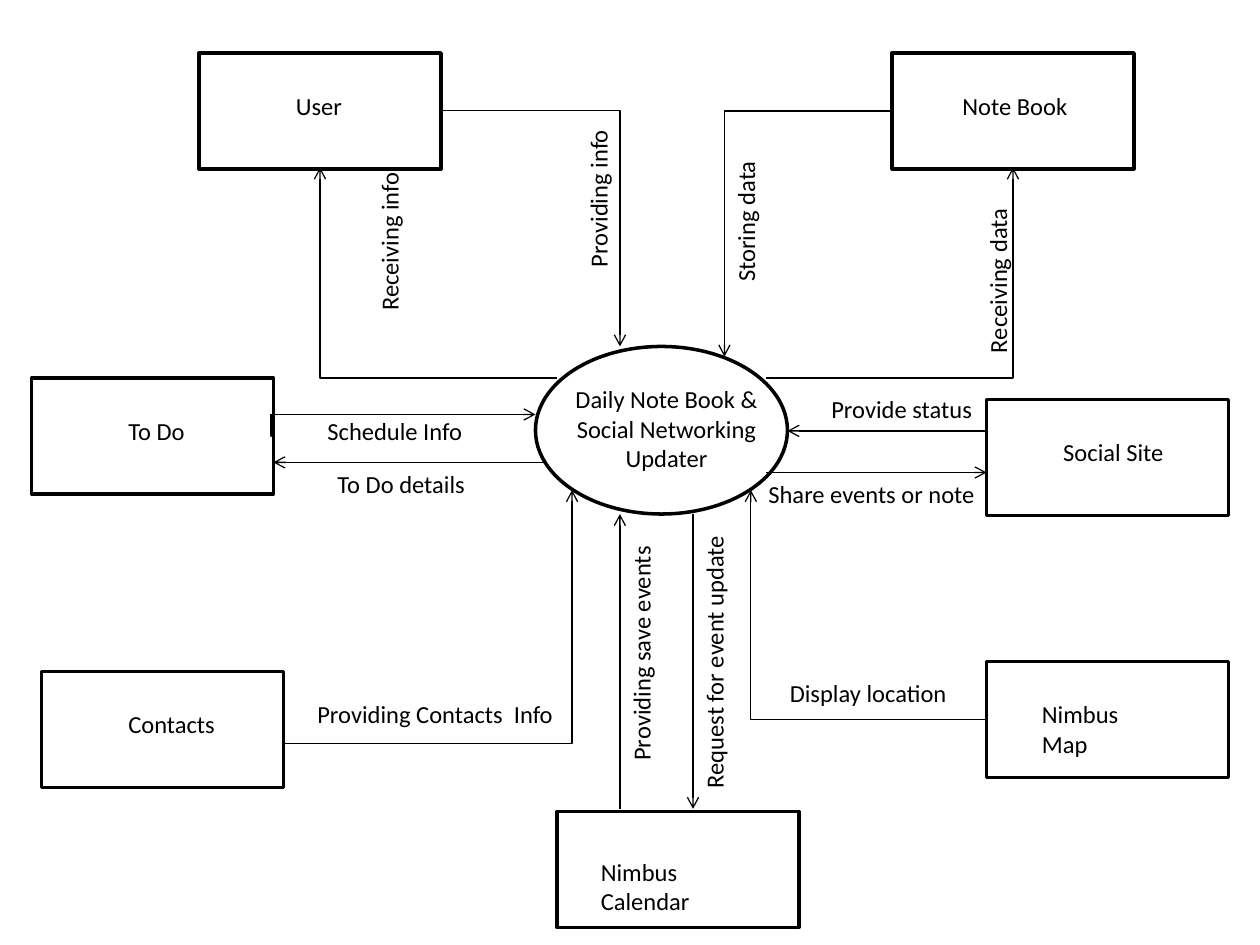
from lxml.etree import SubElement
from pptx import Presentation
from pptx.dml.color import RGBColor
from pptx.enum.shapes import MSO_CONNECTOR, MSO_SHAPE
from pptx.enum.text import MSO_AUTO_SIZE, PP_ALIGN
from pptx.oxml.ns import qn
from pptx.util import Inches, Pt

BLACK = "000000"
BOX_WIDTH, BOX_HEIGHT = 1.92, 0.92
LABEL_HEIGHT = 0.34

# Name, box left and top, label left, top and width
ENTITIES = [
    ("User", 1.58, 0.42, 2.25, 0.67, 0.57),
    ("Note Book", 7.08, 0.42, 7.54, 0.67, 1.03),
    ("To Do", 0.25, 3, 0.92, 3.25, 0.65),
    ("Social Site", 7.83, 3.17, 8.34, 3.42, 1),
    ("Contacts", 0.33, 5.33, 0.92, 5.58, 0.9),
    ("Nimbus Map", 7.83, 5.25, 8.17, 5.5, 1.18),
    ("Nimbus Calendar", 4.42, 6.44, 4.67, 6.75, 1.53),
]

# Start x and y, end x and y
STRAIGHT_FLOWS = [
    (5.5, 4.08, 5.5, 6.42),
    (4.92, 6.42, 4.92, 4.08),
    (4.33, 3.67, 2.17, 3.67),
    (7.83, 3.42, 6.25, 3.42),
    (6.08, 3.75, 7.83, 3.75),
]
CORNER_FLOWS = [
    (7.08, 0.88, 5.75, 2.83),
    (6.08, 3, 8.04, 1.33),
    (3.5, 0.88, 4.92, 2.75),
    (4.42, 3, 2.54, 1.33),
    (7.83, 5.71, 5.96, 3.89),
    (2.25, 5.9, 4.54, 3.89),
]
SCHEDULE_FLOW = (2.17, 3.46, 4.25, 3.29)

# Text, left, top, width
FLOW_LABELS = [
    ("Schedule Info", 2.5, 3.25, 1.28),
    ("To Do details", 2.58, 3.67, 1.22),
    ("Providing Contacts  Info", 2.42, 5.5, 2.09),
    ("Display location", 6.17, 5.33, 1.46),
    ("Share events or note", 6, 3.75, 1.86),
    ("Provide status", 6.5, 3.08, 1.33),
]
# Text, centre x, centre y, length
UPRIGHT_LABELS = [
    ("Request for event update", 5.67, 5.24, 2.23),
    ("Providing save events", 5.09, 5.17, 1.93),
    ("Providing info", 4.75, 1.57, 1.3),
    ("Receiving info", 3.09, 1.91, 1.31),
    ("Receiving data", 7.92, 2.22, 1.36),
    ("Storing data", 5.92, 1.75, 1.17),
]


def color(value):
    """Turn a hex string into a colour."""
    return RGBColor.from_string(value)


def add_outline(shapes, kind, left, top, width, height):
    """Add an unfilled shape with a heavy black outline."""
    shape = shapes.add_shape(kind, *map(Inches, (left, top, width, height)))
    shape.shadow.inherit = False
    shape.fill.background()
    shape.line.color.rgb = color(BLACK)
    shape.line.width = Pt(2)


def add_label(shapes, text, left, top, width, height=LABEL_HEIGHT, wrap=False):
    """Add a text box and return it."""
    label = shapes.add_textbox(*map(Inches, (left, top, width, height)))
    frame = label.text_frame
    frame.word_wrap = wrap
    frame.auto_size = MSO_AUTO_SIZE.SHAPE_TO_FIT_TEXT
    paragraph = frame.paragraphs[0]
    paragraph.text = text
    paragraph.font.name = "Calibri"
    paragraph.font.size = Pt(14)
    paragraph.font.color.rgb = color(BLACK)
    return label


def add_flow(shapes, ends, kind=MSO_CONNECTOR.STRAIGHT):
    """Add a thin connector with an open arrowhead and return it."""
    flow = shapes.add_connector(kind, *map(Inches, ends))
    flow.line.color.rgb = color(BLACK)
    flow.line.width = Pt(0.75)
    SubElement(flow.line._get_or_add_ln(), qn("a:tailEnd"), type="arrow")
    SubElement(flow._element.spPr, qn("a:effectLst"))
    return flow


presentation = Presentation()
presentation.slide_width = Inches(10)
presentation.slide_height = Inches(7.5)
slide = presentation.slides.add_slide(presentation.slide_layouts[6])
shapes = slide.shapes

center = shapes.add_group_shape().shapes
add_outline(center, MSO_SHAPE.OVAL, 4.25, 2.75, 2, 1.33)
title = add_label(center, "Daily Note Book & Social Networking Updater",
                  4.42, 3, 1.74, 0.81, wrap=True)
title.text_frame.paragraphs[0].alignment = PP_ALIGN.CENTER

for name, left, top, *label_place in ENTITIES:
    entity = shapes.add_group_shape().shapes
    add_label(entity, name, *label_place)
    add_outline(entity, MSO_SHAPE.RECTANGLE, left, top, BOX_WIDTH, BOX_HEIGHT)

for ends in STRAIGHT_FLOWS:
    add_flow(shapes, ends)

for ends in CORNER_FLOWS:
    corner = add_flow(shapes, ends, MSO_CONNECTOR.ELBOW)
    corner._element.spPr.find(qn("a:prstGeom")).set("prst", "bentConnector2")

schedule = add_flow(shapes, SCHEDULE_FLOW, MSO_CONNECTOR.ELBOW)
geometry = schedule._element.spPr.find(qn("a:prstGeom"))
adjustments = geometry.find(qn("a:avLst"))
if adjustments is None:
    adjustments = SubElement(geometry, qn("a:avLst"))
SubElement(adjustments, qn("a:gd"), name="adj1", fmla="val -900")

for text, left, top, width in FLOW_LABELS:
    add_label(shapes, text, left, top, width)

for text, center_x, center_y, length in UPRIGHT_LABELS:
    label = add_label(shapes, text, center_x - length / 2,
                      center_y - LABEL_HEIGHT / 2, length)
    label.rotation = 270

presentation.save("out.pptx")
